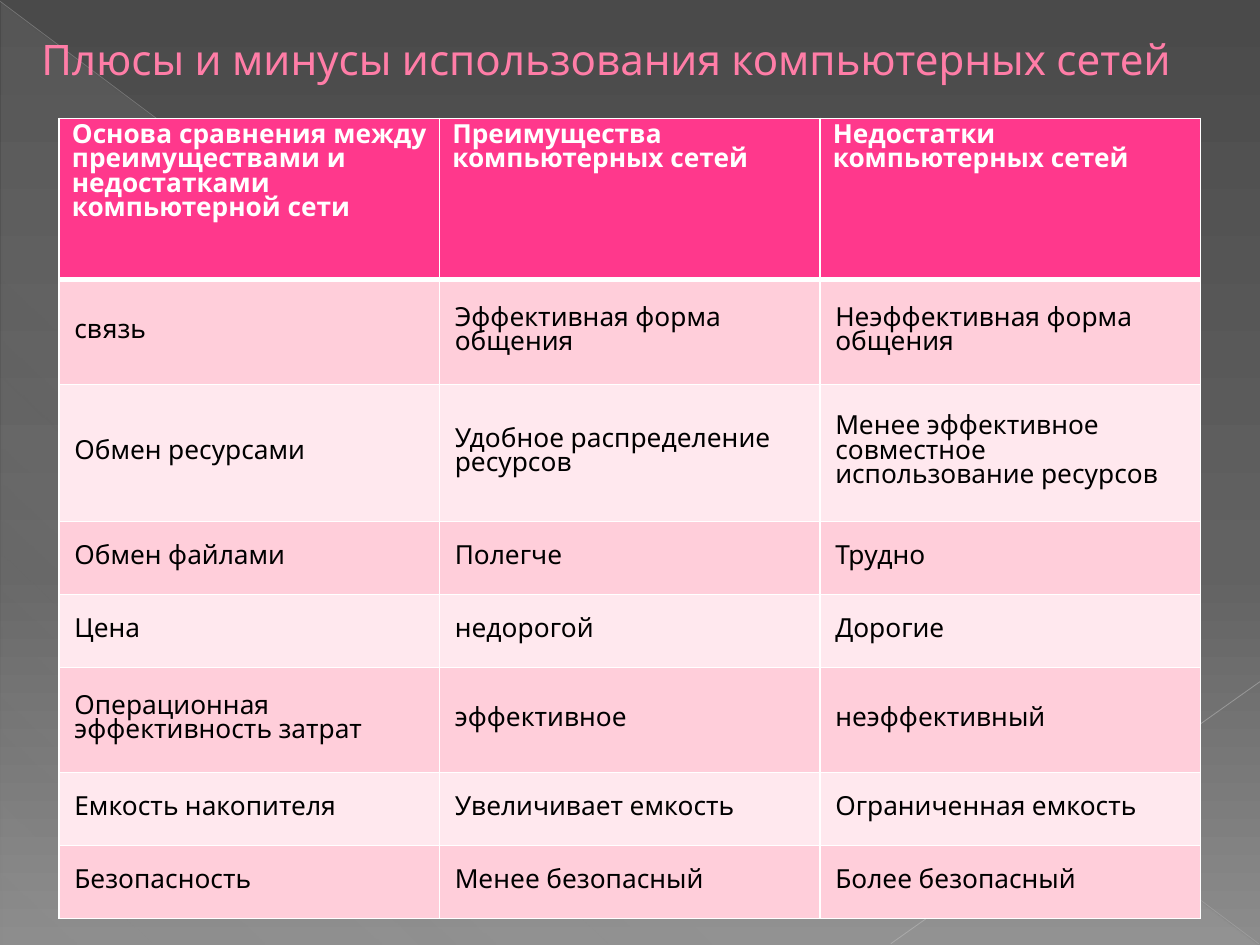
"""Build a slide that compares the pros and cons of computer networks."""
from typing import Any, NamedTuple

from pptx import Presentation
from pptx.dml.color import RGBColor
from pptx.enum.shapes import MSO_CONNECTOR, MSO_SHAPE
from pptx.enum.text import MSO_ANCHOR
from pptx.oxml import parse_xml
from pptx.oxml.ns import nsdecls, qn
from pptx.oxml.xmlchemy import OxmlElement
from pptx.util import Inches, Pt

FONT = "League Spartan"
WHITE = RGBColor(0xFF, 0xFF, 0xFF)
BLACK = RGBColor(0, 0, 0)
ROSE = RGBColor(0xFF, 0x7D, 0xA7)
WINE = RGBColor(0xB1, 0x27, 0x61)
PINK = RGBColor(0xFF, 0x38, 0x8C)
BANDS = (RGBColor(0xFF, 0xE8, 0xEE), RGBColor(0xFF, 0xCE, 0xDA))
DARK = RGBColor(0x4A, 0x4A, 0x4A)
MID = RGBColor(0x62, 0x62, 0x62)
LIGHT = RGBColor(0x8C, 0x8C, 0x8C)
PALE = RGBColor(0xD2, 0xD2, 0xD2)


class Stop(NamedTuple):
    place: int
    color: RGBColor
    alpha: int = 100


class Ray(NamedTuple):
    start: tuple[float, float]
    end: tuple[float, float]
    color: RGBColor
    width: float
    alpha: int


class Row(NamedTuple):
    height: float
    texts: tuple[str, str, str]


RAYS = (
    Ray((0, 0.01), (9.99, 7.49), RGBColor(0xBF, 0xBF, 0xBF), 0.39, 35),
    Ray((10, 5.41), (7.07, 7.49), RGBColor(0xC6, 0xC6, 0xC6), 0.47, 45),
)
ROWS = (
    Row(1.28, ("Основа сравнения между преимуществами и недостатками компьютерной сети",
               "Преимущества компьютерных сетей", "Недостатки компьютерных сетей")),
    Row(0.83, ("связь", "Эффективная форма общения", "Неэффективная форма общения")),
    Row(1.09, ("Обмен ресурсами", "Удобное распределение ресурсов",
               "Менее эффективное совместное использование ресурсов")),
    Row(0.58, ("Обмен файлами", "Полегче", "Трудно")),
    Row(0.58, ("Цена", "недорогой", "Дорогие")),
    Row(0.83, ("Операционная эффективность затрат", "эффективное", "неэффективный")),
    Row(0.58, ("Емкость накопителя", "Увеличивает емкость", "Ограниченная емкость")),
    Row(0.58, ("Безопасность", "Менее безопасный", "Более безопасный")),
)


def shade(fill: Any, root: Any, stops: tuple[Stop, ...], angle: int) -> None:
    """Give a fill a linear gradient."""
    fill.solid()
    old = next(root.iter(qn("a:solidFill")))
    marks = "".join(
        f'<a:gs pos="{s.place * 1000}"><a:srgbClr val="{s.color}">'
        f'<a:alpha val="{s.alpha * 1000}"/></a:srgbClr></a:gs>' for s in stops)
    old.getparent().replace(old, parse_xml(
        f'<a:gradFill {nsdecls("a")} rotWithShape="1"><a:gsLst>{marks}</a:gsLst>'
        f'<a:lin ang="{angle * 60000}" scaled="0"/></a:gradFill>'))


def stroke(tag: str, color: RGBColor, width: float) -> Any:
    """Return a solid line element."""
    return parse_xml(
        f'<a:{tag} {nsdecls("a")} w="{Pt(width)}"><a:solidFill>'
        f'<a:srgbClr val="{color}"/></a:solidFill></a:{tag}>')


def write(frame: Any, text: str, *, size: float, color: RGBColor,
          bold: bool = False, edge: RGBColor | None = None) -> None:
    """Put one formatted run into a text frame."""
    frame.word_wrap = True
    run = frame.paragraphs[0].add_run()
    run.text = text
    font = run.font
    font.name, font.size, font.bold = FONT, Pt(size), bold
    font.color.rgb = color
    if edge is not None:
        run._r.get_or_add_rPr().insert(0, stroke("ln", edge, 0.5))


def draw_ray(slide: Any, ray: Ray) -> None:
    """Draw a thin translucent line."""
    line = slide.shapes.add_connector(
        MSO_CONNECTOR.STRAIGHT, *(Inches(v) for v in ray.start + ray.end))
    line.line.color.rgb = ray.color
    line.line.width = Pt(ray.width)
    alpha = OxmlElement("a:alpha")
    alpha.set("val", str(ray.alpha * 1000))
    props = line._element.spPr
    next(props.iter(qn("a:srgbClr"))).append(alpha)
    props.append(OxmlElement("a:effectLst"))


def draw_cell(cell: Any, text: str, index: int) -> None:
    """Fill, border and write one table cell."""
    head = index == 0
    cell.fill.solid()
    cell.fill.fore_color.rgb = PINK if head else BANDS[index % 2]
    if not head:
        cell.vertical_anchor = MSO_ANCHOR.MIDDLE
        cell.margin_left = cell.margin_right = Inches(0.12)
        cell.margin_top = cell.margin_bottom = Inches(0.12)
    props = cell._tc.get_or_add_tcPr()
    for place, side in enumerate("LRTB"):
        thick = (head and side == "B") or (index == 1 and side == "T")
        props.insert(place, stroke(f"ln{side}", WHITE, 3 if thick else 1))
    write(cell.text_frame, text, size=15, color=WHITE if head else BLACK, bold=head)


def draw_table(slide: Any) -> None:
    """Draw the table of pros and cons."""
    table = slide.shapes.add_table(
        len(ROWS), 3, Inches(0.47), Inches(0.94), Inches(9.06),
        Inches(sum(row.height for row in ROWS))).table
    for index, row in enumerate(ROWS):
        table.rows[index].height = Inches(row.height)
        for col, text in enumerate(row.texts):
            draw_cell(table.cell(index, col), text, index)


def main() -> None:
    """Build and save the slide."""
    deck = Presentation()
    deck.slide_width, deck.slide_height = Inches(10), Inches(7.5)
    slide = deck.slides.add_slide(deck.slide_layouts[6])
    shade(slide.background.fill, slide._element,
          (Stop(0, DARK), Stop(60, MID), Stop(100, LIGHT)), 90)
    wedge = slide.shapes.add_shape(
        MSO_SHAPE.RIGHT_TRIANGLE, Inches(0.01), Inches(0.02), Inches(9.98), Inches(7.48))
    wedge.shadow.inherit = False
    wedge.line.fill.background()
    shade(wedge.fill, wedge._element,
          (Stop(0, PALE, 10), Stop(70, PALE, 8), Stop(100, PALE, 1)), 133)
    for ray in RAYS:
        draw_ray(slide, ray)
    title = slide.shapes.add_textbox(
        Inches(0.23), Inches(0), Inches(9.53), Inches(0.94)).text_frame
    title.vertical_anchor = MSO_ANCHOR.MIDDLE
    write(title, "Плюсы и минусы использования компьютерных сетей",
          size=24, color=ROSE, edge=WINE)
    draw_table(slide)
    deck.save("out.pptx")


main()
